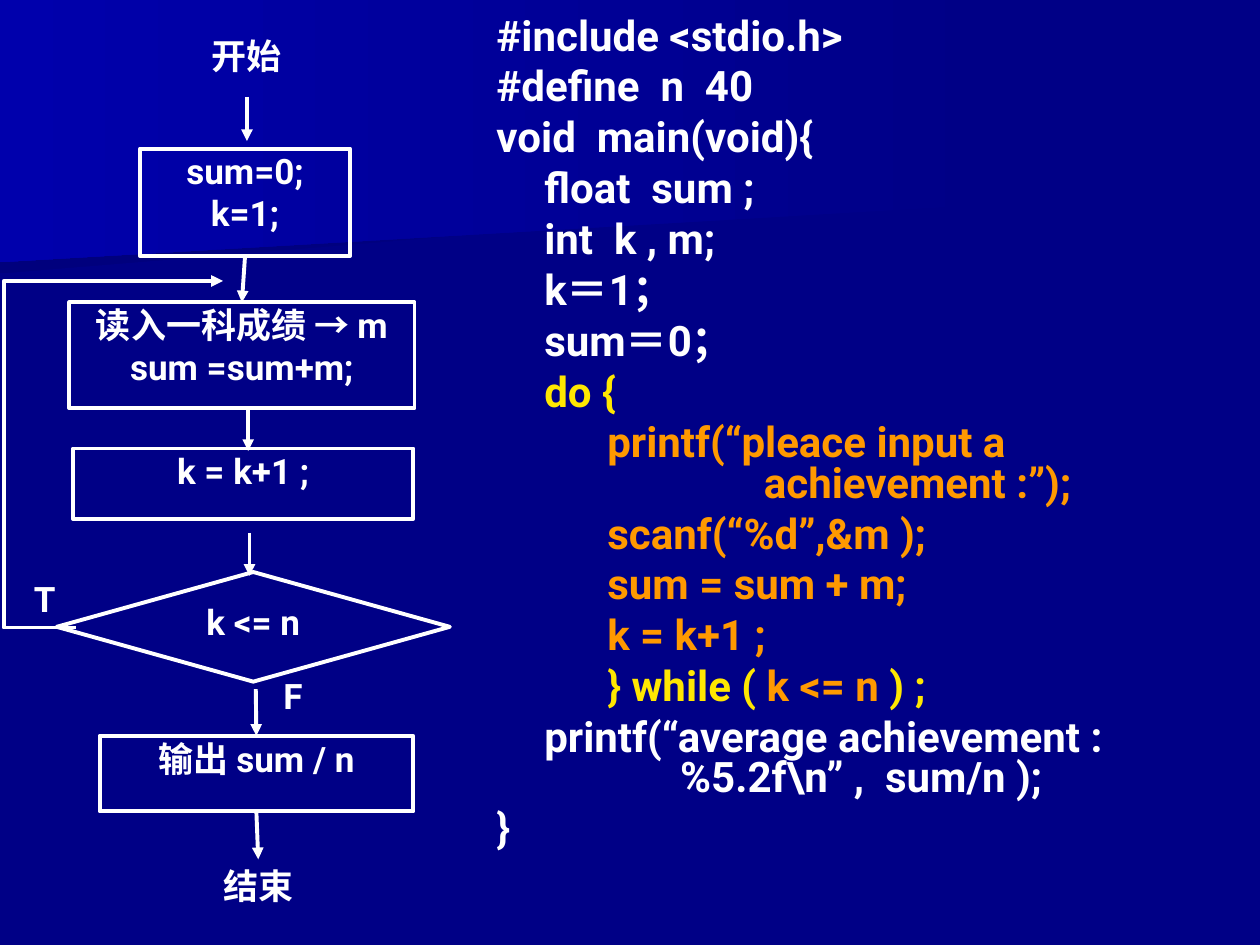
from lxml.etree import SubElement
from pptx import Presentation
from pptx.dml.color import RGBColor
from pptx.enum.shapes import MSO_CONNECTOR, MSO_SHAPE
from pptx.enum.text import MSO_ANCHOR, MSO_AUTO_SIZE, PP_ALIGN
from pptx.oxml.ns import qn
from pptx.util import Inches, Pt

THEME = {
    "font": "Roboto", "code_size": 24, "chart_size": 20, "line_width": 2.25,
    "background": "000086", "plain": "FFFFFF", "loop": "FFE701", "body": "FF9900",
}

# Bands of the background: outline points, colour at the left end
BANDS = [
    ([(7.78, 1.53), (0, 2.17), (0, 1.01), (7.79, 1.01), (7.78, 1.28)], "00007D"),
    ([(7.92, 1.62), (0, 2.08), (0, 0), (7.92, 0)], "0000AC"),
]

# Program lines: indent depth, then (text, colour role) pieces; "\n" breaks the line
CODE = [
    (0, [("#include <stdio.h>", "plain")]),
    (0, [("#define  n  40", "plain")]),
    (0, [("void  main(void){", "plain")]),
    (1, [("float  sum ;", "plain")]),
    (1, [("int  k , m;", "plain")]),
    (1, [("k＝1；", "plain")]),
    (1, [("sum＝0；", "plain")]),
    (1, [("do {", "loop")]),
    (2, [("printf(“pleace input a\n                     achievement :”);", "body")]),
    (2, [("scanf(“%d”,&m );", "body")]),
    (2, [("sum = sum + m;", "body")]),
    (2, [("k = k+1 ;", "body")]),
    (2, [("} while ( ", "loop"), ("k <= n", "body"), (" ) ;", "loop")]),
    (1, [("printf(“average achievement :\n             %5.2f\\n” ,  sum/n );", "plain")]),
    (0, [("}", "plain")]),
]
CODE_BOX = (3.84, 0.1, 6.16, 7.29)

# Flowchart steps: name -> (preset shape, box, lines)
STEPS = {
    "init": (MSO_SHAPE.RECTANGLE, (1.11, 1.18, 1.67, 0.85), ["sum=0;", "k=1;"]),
    "read": (MSO_SHAPE.RECTANGLE, (0.55, 2.4, 2.74, 0.84), ["读入一科成绩 → m", "sum =sum+m;"]),
    "count": (MSO_SHAPE.RECTANGLE, (0.58, 3.56, 2.7, 0.56), ["k = k+1 ;"]),
    "test": (MSO_SHAPE.DIAMOND, (0.45, 4.54, 3.12, 0.87), ["k <= n"]),
    "output": (MSO_SHAPE.RECTANGLE, (0.79, 5.84, 2.49, 0.6), ["输出 sum / n"]),
}
LABELS = [
    ("开始", (1.28, 0.26, 1.36, 0.48), PP_ALIGN.CENTER),
    ("结束", (0.99, 6.85, 2.13, 0.44), PP_ALIGN.CENTER),
    ("F", (2.24, 5.34, 0.46, 0.69), PP_ALIGN.JUSTIFY),
    ("T", (0.26, 4.57, 0.46, 0.62), PP_ALIGN.JUSTIFY),
]
# Arrows down: start, end, step joined at the start, step joined at the end
ARROWS = [
    ((1.96, 0.77), (1.96, 1.12), None, None),
    ((1.94, 2.05), (1.94, 2.39), "init", "read"),
    ((1.97, 3.24), (1.97, 3.58), None, None),
    ((1.98, 4.23), (1.98, 4.57), None, None),
    ((2.03, 5.47), (2.03, 5.81), None, "output"),
    ((2.04, 6.48), (2.05, 6.82), "output", None),
]
LOOP_BACK = [(0.6, 4.98), (0.03, 4.98), (0.03, 2.23), (1.77, 2.23)]
TOP, BOTTOM = 0, 2


def color(role):
    return RGBColor.from_string(THEME[role])


def inches(values):
    return [Inches(value) for value in values]


def style_font(paragraph, size):
    font = paragraph.font
    font.name, font.size, font.bold = THEME["font"], Pt(THEME[size]), True
    font.color.rgb = color("plain")


def draw_line(part, arrow=False):
    part.line.color.rgb = color("plain")
    part.line.width = Pt(THEME["line_width"])
    if arrow:
        SubElement(part.line._get_or_add_ln(), qn("a:tailEnd"), type="triangle")


def outline(slide, points, close):
    start, *rest = [inches(point) for point in points]
    builder = slide.shapes.build_freeform(*start, scale=1.0)
    builder.add_line_segments(rest, close=close)
    shape = builder.convert_to_shape()
    shape.shadow.inherit = False
    return shape


def write_lines(frame, lines, align=PP_ALIGN.CENTER):
    frame.word_wrap = True
    frame.vertical_anchor = MSO_ANCHOR.TOP
    frame.margin_left = frame.margin_right = Inches(0.01)
    frame.margin_top = frame.margin_bottom = Inches(0.01)
    for index, line in enumerate(lines):
        paragraph = frame.add_paragraph() if index else frame.paragraphs[0]
        paragraph.text = line
        paragraph.alignment = align
        style_font(paragraph, "chart_size")


def add_bands(slide):
    for points, left_color in BANDS:
        band = outline(slide, points, close=True)
        band.line.fill.background()
        band.fill.gradient()
        band.fill.gradient_angle = 180
        right_stop, left_stop = band.fill.gradient_stops
        right_stop.color.rgb = color("background")
        right_stop.position = 0
        left_stop.color.rgb = RGBColor.from_string(left_color)
        left_stop.position = 1


def add_code(slide, body):
    slide.shapes._spTree.append(body._element)  # in front of the bands
    body.left, body.top, body.width, body.height = inches(CODE_BOX)
    frame = body.text_frame
    frame.word_wrap = True
    frame.auto_size = MSO_AUTO_SIZE.NONE
    frame.vertical_anchor = MSO_ANCHOR.TOP
    for index, (depth, pieces) in enumerate(CODE):
        paragraph = frame.add_paragraph() if index else frame.paragraphs[0]
        properties = paragraph._p.get_or_add_pPr()
        properties.set("marL", str(Inches(0.38)))
        properties.set("indent", str(-Inches(0.38)))
        SubElement(properties, qn("a:buNone"))
        tabs = SubElement(properties, qn("a:tabLst"))
        for stop in range(8):
            SubElement(tabs, qn("a:tab"), pos=str(Inches(stop)), algn="l")
        paragraph.line_spacing = 0.8
        paragraph.space_before = Pt(6 if index else 0)
        style_font(paragraph, "code_size")
        if depth:
            paragraph.add_run().text = "\t" * depth
        for text, role in pieces:
            for part, line in enumerate(text.split("\n")):
                if part:
                    paragraph.add_line_break()
                run = paragraph.add_run()
                run.text = line
                run.font.color.rgb = color(role)


def add_flowchart(slide):
    steps = {}
    for name, (preset, box, lines) in STEPS.items():
        step = steps[name] = slide.shapes.add_shape(preset, *inches(box))
        step.shadow.inherit = False
        step.fill.background()
        draw_line(step)
        write_lines(step.text_frame, lines)
    steps["test"].text_frame.vertical_anchor = MSO_ANCHOR.MIDDLE
    steps["test"].text_frame.margin_bottom = Inches(0.1)

    for text, box, align in LABELS:
        label = slide.shapes.add_textbox(*inches(box))
        write_lines(label.text_frame, [text], align)

    for start, end, source, target in ARROWS:
        arrow = slide.shapes.add_connector(MSO_CONNECTOR.STRAIGHT, *inches(start + end))
        if source:
            arrow.begin_connect(steps[source], BOTTOM)
        if target:
            arrow.end_connect(steps[target], TOP)
        draw_line(arrow, arrow=True)
        SubElement(arrow._element.spPr, qn("a:effectLst"))

    loop_back = outline(slide, LOOP_BACK, close=False)
    loop_back.fill.background()
    draw_line(loop_back, arrow=True)


def main():
    deck = Presentation()
    deck.slide_width, deck.slide_height = inches((10, 7.5))
    slide = deck.slides.add_slide(deck.slide_layouts[1])
    slide.background.fill.solid()
    slide.background.fill.fore_color.rgb = color("background")
    title, body = slide.placeholders
    title._element.getparent().remove(title._element)
    add_bands(slide)
    add_code(slide, body)
    add_flowchart(slide)
    deck.save("out.pptx")


if __name__ == "__main__":
    main()
